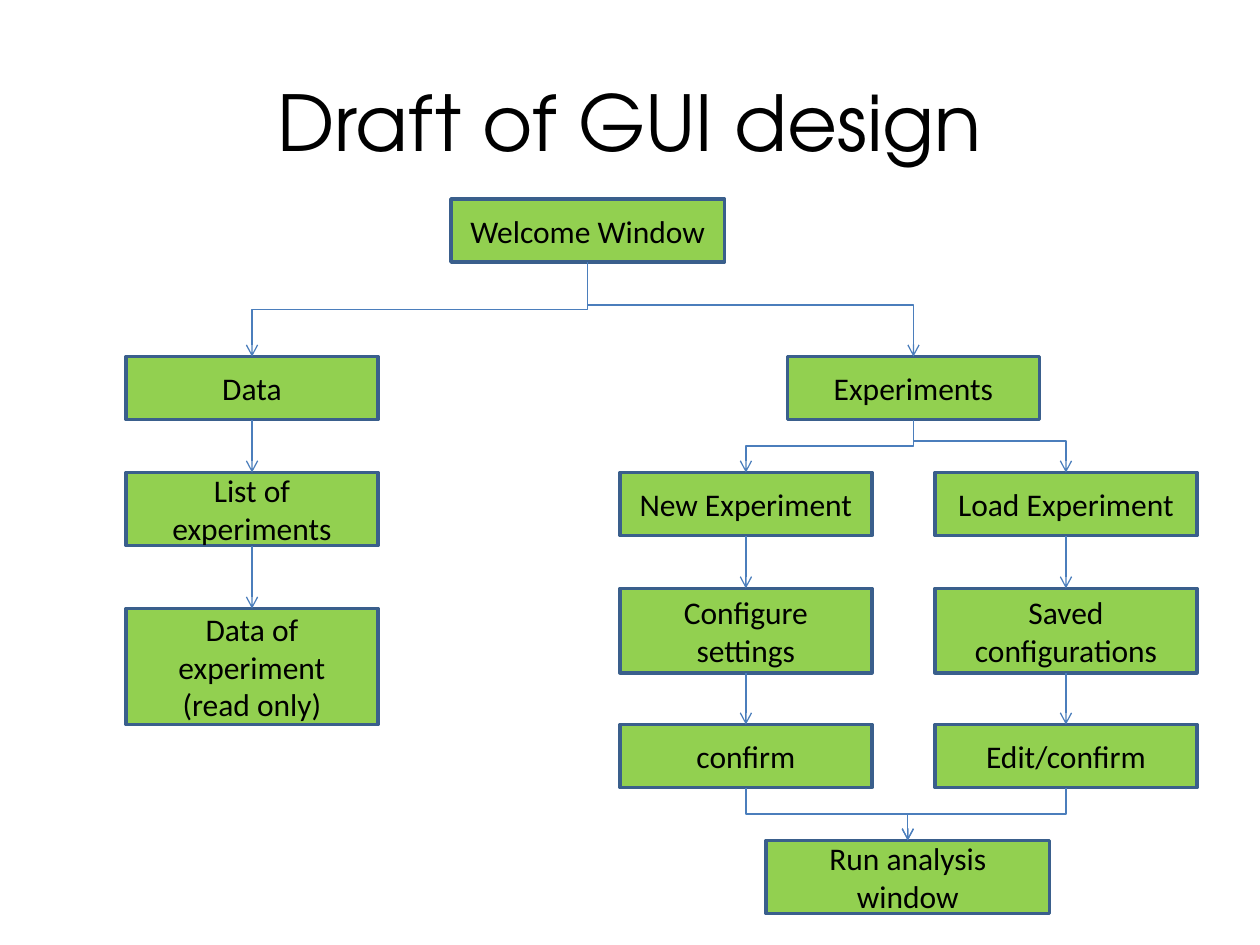
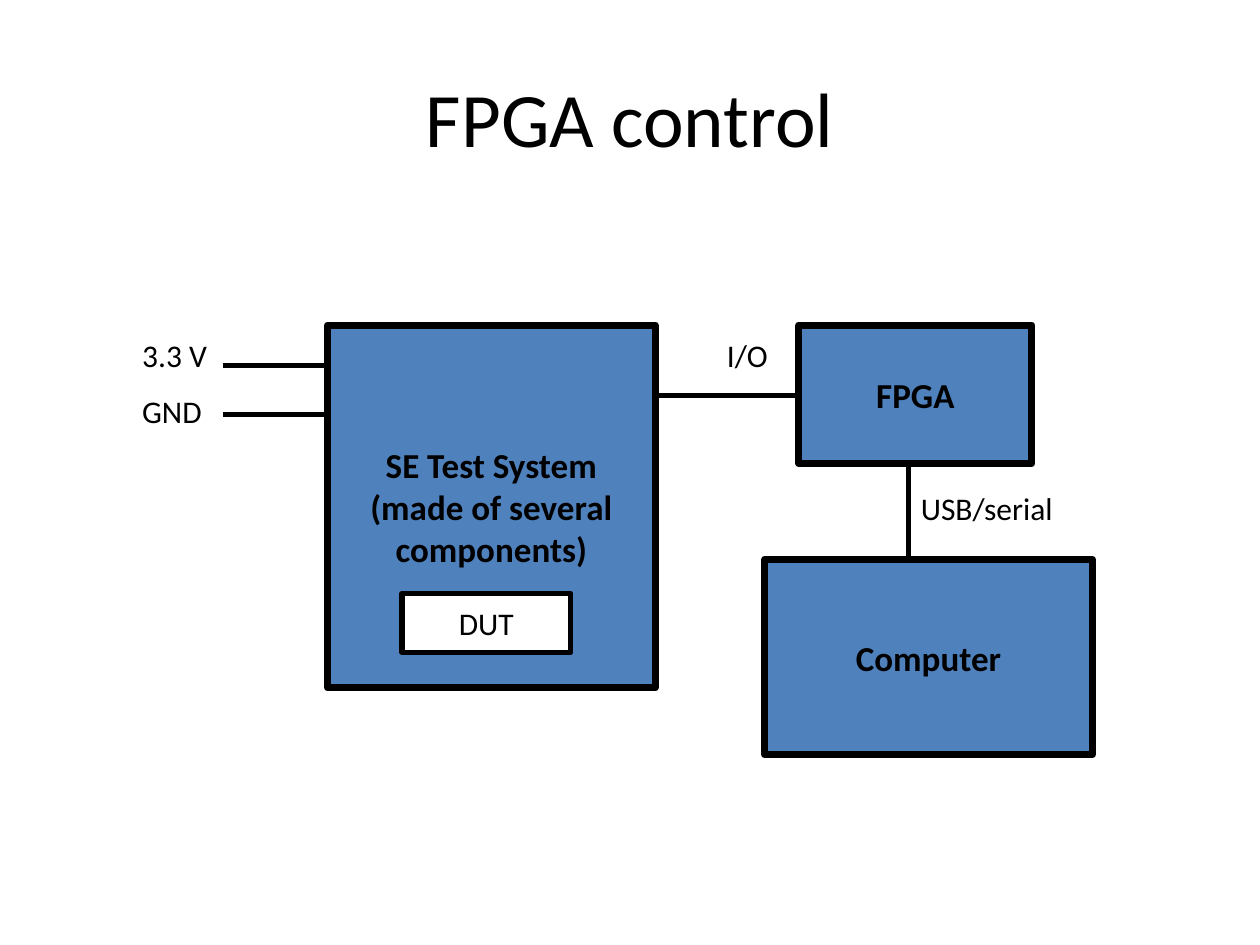
from collections import namedtuple

from lxml import etree
from pptx import Presentation
from pptx.dml.color import RGBColor
from pptx.enum.shapes import MSO_CONNECTOR, MSO_SHAPE
from pptx.enum.text import MSO_ANCHOR, PP_ALIGN
from pptx.oxml.ns import qn
from pptx.util import Inches, Pt

RECTANGLE = MSO_SHAPE.RECTANGLE
STRAIGHT = MSO_CONNECTOR.STRAIGHT
ELBOW = MSO_CONNECTOR.ELBOW
MIDDLE, TOP = MSO_ANCHOR.MIDDLE, MSO_ANCHOR.TOP
CENTER, LEFT = PP_ALIGN.CENTER, PP_ALIGN.LEFT

BLACK = RGBColor(0x00, 0x00, 0x00)
WHITE = RGBColor(0xFF, 0xFF, 0xFF)
GREEN = RGBColor(0x92, 0xD0, 0x50)
BLUE = RGBColor(0x4F, 0x81, 0xBD)
STEP_BORDER = RGBColor(0x3A, 0x5F, 0x8C)
ARROW_BLUE = RGBColor(0x4B, 0x7E, 0xBC)

BODY_FONT = "Calibri"
GUI_TITLE_FONT = "TeX Gyre Adventor"


class Box(namedtuple("Box", "left top width height")):
    @property
    def center(self):
        return self.left + self.width / 2

    @property
    def bottom(self):
        return self.top + self.height

    def inner(self, left, top, width, height):
        return Box(self.left + left, self.top + top, width, height)

    def lengths(self):
        return [Inches(value) for value in self]


def write_text(frame, paragraphs, size=18, font=BODY_FONT, bold=False,
               align=CENTER, anchor=MIDDLE, wrap=True):
    frame.word_wrap = wrap
    frame.vertical_anchor = anchor
    for number, lines in enumerate(paragraphs):
        para = frame.add_paragraph() if number else frame.paragraphs[0]
        para.alignment = align
        for index, line in enumerate(lines.split("\n")):
            if index:
                para.add_line_break()
            span = para.add_run()
            span.text = line
            span.font.size = Pt(size)
            span.font.name = font
            span.font.bold = bold
            span.font.color.rgb = BLACK


def add_text(page, box, text, **style):
    holder = page.shapes.add_textbox(*box.lengths())
    write_text(holder.text_frame, [text], **style)


def add_title(page, box, text, font=BODY_FONT):
    add_text(page, box, text, size=44, font=font)


def add_block(page, box, paragraphs, fill, border, weight, **style):
    block = page.shapes.add_shape(RECTANGLE, *box.lengths())
    block.shadow.inherit = False
    block.fill.solid()
    block.fill.fore_color.rgb = fill
    block.line.color.rgb = border
    block.line.width = Pt(weight)
    write_text(block.text_frame, paragraphs, **style)


def add_line(page, kind, start, end, color, weight):
    line = page.shapes.add_connector(
        kind, *[Inches(value) for value in (*start, *end)])
    line.line.color.rgb = color
    line.line.width = Pt(weight)
    etree.SubElement(line._element.spPr, qn("a:effectLst"))
    return line


def add_arrow(page, kind, start, end):
    arrow = add_line(page, kind, start, end, ARROW_BLUE, 0.75)
    etree.SubElement(arrow.line._get_or_add_ln(), qn("a:tailEnd"), type="arrow")
    return arrow._element.spPr


def connect_down(page, upper, lower):
    start, end = (upper.center, upper.bottom), (lower.center, lower.top)
    run, drop = end[0] - start[0], end[1] - start[1]
    if abs(run) < 0.01:
        add_arrow(page, STRAIGHT, start, end)
        return
    middle_x, middle_y = start[0] + run / 2, start[1] + drop / 2
    half_width = drop / 2 if run < 0 else -drop / 2
    half_height = abs(run) / 2
    properties = add_arrow(page, ELBOW,
                           (middle_x - half_width, middle_y - half_height),
                           (middle_x + half_width, middle_y + half_height))
    degrees = 90 if run < 0 else 270
    properties.find(qn("a:xfrm")).set("rot", str(degrees * 60000))


def branch_right(page, upper, lower, branch_top):
    properties = add_arrow(page, ELBOW, (upper.center, branch_top),
                           (lower.center, lower.top))
    properties.find(qn("a:prstGeom")).set("prst", "bentConnector2")


def add_step(page, box, *paragraphs):
    add_block(page, box, paragraphs, GREEN, STEP_BORDER, 2)
    return box


def add_step_column(page, area, steps):
    boxes = [add_step(page, area.inner(0, top, area.width, height), *paragraphs)
             for top, height, paragraphs in steps]
    for upper, lower in zip(boxes, boxes[1:]):
        connect_down(page, upper, lower)
    return boxes


def add_window_flow(page, area):
    welcome = add_step(page, area.inner(2.58, 0, 2.17, 0.5), "Welcome Window")
    experiments = add_step(page, area.inner(5.25, 1.25, 2, 0.5), "Experiments")
    run_window = add_step(page, area.inner(5.08, 5.09, 2.25, 0.58),
                          "Run analysis window")
    data = add_step_column(page, area.inner(0, 1.25, 2, 2.92), [
        (0, 0.5, ["Data"]),
        (0.92, 0.58, ["List of experiments"]),
        (2, 0.92, ["Data of experiment", "(read only)"]),
    ])
    new, load = [
        add_step_column(page, area.inner(left, 2.17, width, 2.5), [
            (0, 0.5, [first]), (0.92, 0.67, [second]), (2, 0.5, [third])])
        for left, width, first, second, third in [
            (3.92, 2, "New Experiment", "Configure settings", "confirm"),
            (6.42, 2.08, "Load Experiment", "Saved configurations",
             "Edit/confirm"),
        ]]
    connect_down(page, welcome, data[0])
    branch_right(page, welcome, experiments, area.top + 0.84)
    connect_down(page, experiments, new[0])
    branch_right(page, experiments, load[0], area.top + 1.92)
    for column in (new, load):
        connect_down(page, column[-1], run_window)


def add_test_setup(page, area):
    wires = [
        (0.74, 0.32, 1.57, 0.32),
        (0.74, 0.71, 1.57, 0.71),
        (4.17, 0.56, 5.31, 0.56),
        (6.18, 1.1, 6.18, 1.86),
    ]
    for x1, y1, x2, y2 in wires:
        add_line(page, STRAIGHT, (area.left + x1, area.top + y1),
                 (area.left + x2, area.top + y2), BLACK, 3)

    units = [
        (1.57, 0, 2.6, 2.88, "SE Test System\n(made of several\ncomponents)"),
        (5.31, 0, 1.85, 1.1, "FPGA"),
        (5.04, 1.86, 2.6, 1.55, "Computer"),
    ]
    for *place, name in units:
        add_block(page, area.inner(*place), [name], BLUE, BLACK, 4,
                  size=20, bold=True, wrap=False)
    add_block(page, area.inner(2.16, 2.13, 1.34, 0.47), ["DUT"], WHITE, BLACK, 3,
              wrap=False)

    labels = [
        (0, 0.04, 0.78, "3.3 V", LEFT),
        (0, 0.48, 0.76, "GND", LEFT),
        (4.63, 0.04, 0.6, "I/O ", CENTER),
        (6.18, 1.25, 1.38, "USB/serial", LEFT),
    ]
    for left, top, width, text, align in labels:
        add_text(page, area.inner(left, top, width, 0.4), text,
                 align=align, anchor=TOP, wrap=False)


def main():
    deck = Presentation()
    deck.slide_width, deck.slide_height = Inches(10), Inches(7.5)
    blank = deck.slide_layouts[6]

    gui_page = deck.slides.add_slide(blank)
    add_title(gui_page, Box(0.5, 0.33, 9, 1.25), "Draft of GUI design",
              GUI_TITLE_FONT)
    add_window_flow(gui_page, Box(1, 1.58, 8.5, 5.67))

    control_page = deck.slides.add_slide(blank)
    add_title(control_page, Box(0.5, 0.3, 9, 1.25), "FPGA control")
    add_test_setup(control_page, Box(1.03, 2.58, 7.64, 3.41))

    deck.save("out.pptx")


if __name__ == "__main__":
    main()
